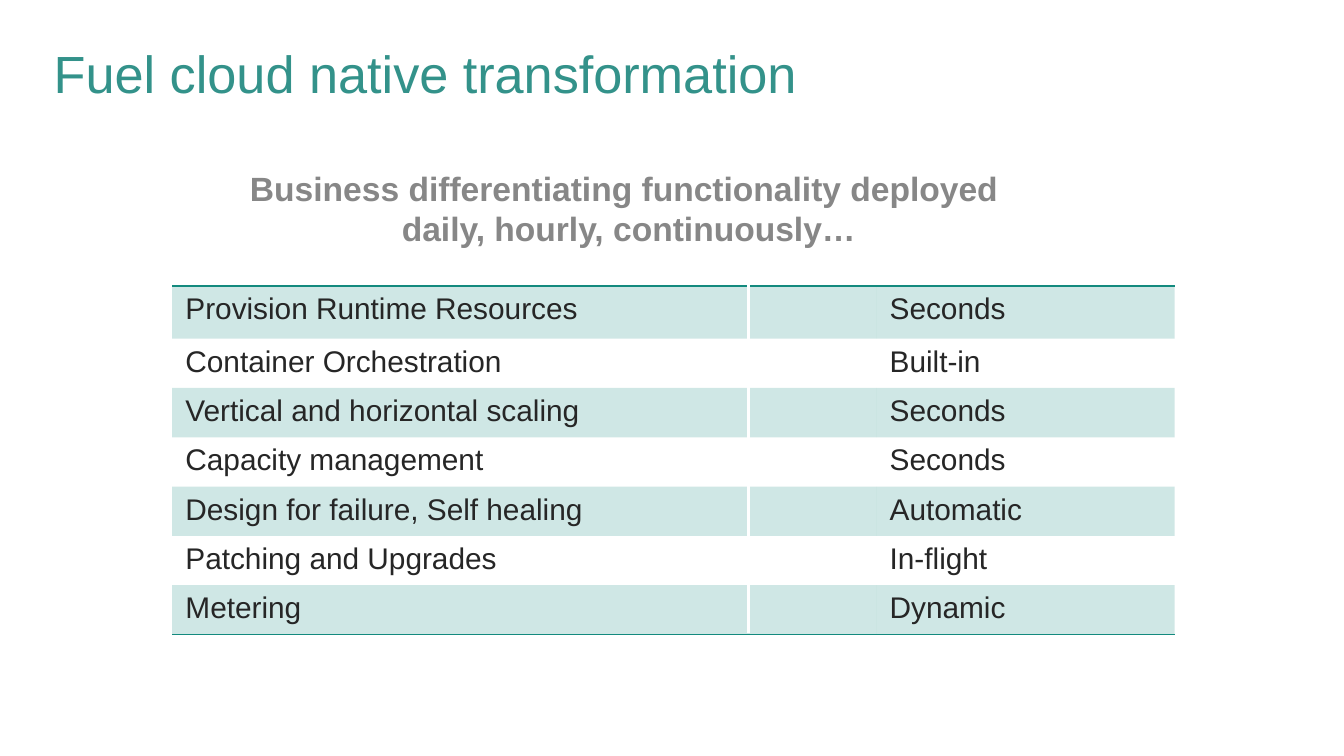
from dataclasses import dataclass

from lxml.etree import SubElement
from pptx import Presentation
from pptx.dml.color import RGBColor
from pptx.enum.shapes import MSO_CONNECTOR
from pptx.enum.text import MSO_ANCHOR, PP_ALIGN
from pptx.oxml.ns import qn
from pptx.util import Inches, Pt


@dataclass(frozen=True)
class Theme:
    font: str = "Arial"
    title: str = "33928A"
    subtitle: str = "878787"
    body: str = "262626"
    band: str = "138A7E"
    divider: str = "FFFFFF"
    band_alpha: int = 20
    title_size: int = 28
    subtitle_size: int = 18
    body_size: int = 16


class SlideBuilder:
    """Draws styled elements on one slide."""

    def __init__(self, slide, theme):
        self.slide = slide
        self.theme = theme

    def style(self, paragraph, size, color, bold=False):
        values = {"name": self.theme.font, "size": Pt(size), "bold": bold}
        for run in paragraph.runs:
            for key, value in values.items():
                setattr(run.font, key, value)
            run.font.color.rgb = RGBColor.from_string(color)

    def text(self, box, wording, size, color, bold=False, **layout):
        frame = self.slide.shapes.add_textbox(*map(Inches, box)).text_frame
        margins = {f"margin_{side}": 0 for side in ("left", "top", "right", "bottom")}
        for key, value in {**margins, "word_wrap": True, "vertical_anchor": MSO_ANCHOR.TOP}.items():
            setattr(frame, key, value)
        frame.text = wording
        paragraph = frame.paragraphs[0]
        for key, value in layout.items():
            setattr(paragraph, key, value)
        self.style(paragraph, size, color, bold)

    def borders(self, cell, ruled):
        properties = cell._tc.get_or_add_tcPr()
        for side in ("lnL", "lnR", "lnT", "lnB"):
            if side in ruled:
                edge = SubElement(properties, qn(f"a:{side}"), w=str(Pt(1)))
                fill = SubElement(edge, qn("a:solidFill"))
                SubElement(fill, qn("a:srgbClr"), val=self.theme.band)
            else:
                edge = SubElement(properties, qn(f"a:{side}"), w="0")
                SubElement(edge, qn("a:noFill"))

    def band(self, cell, shaded):
        if not shaded:
            cell.fill.background()
            return
        cell.fill.solid()
        cell.fill.fore_color.rgb = RGBColor.from_string(self.theme.band)
        color = cell._tc.tcPr.find(f"{qn('a:solidFill')}/{qn('a:srgbClr')}")
        SubElement(color, qn("a:alpha"), val=str(self.theme.band_alpha * 1000))

    def table(self, box, rows, widths, heights):
        table = self.slide.shapes.add_table(len(rows), len(widths), *map(Inches, box)).table
        for key in ("first_row", "horz_banding"):
            setattr(table, key, False)
        for column, width in zip(table.columns, widths):
            column.width = Inches(width)
        for row, height in zip(table.rows, heights):
            row.height = Inches(height)
        edges = {0: ("lnT",), len(rows) - 1: ("lnB",)}
        for index, row in enumerate(rows):
            for column, wording in enumerate(row):
                cell = table.cell(index, column)
                cell.text = wording
                self.style(cell.text_frame.paragraphs[0], self.theme.body_size, self.theme.body)
                self.borders(cell, edges.get(index, ()))
                self.band(cell, index % 2 == 0)

    def line(self, start, end, color, width):
        ends = map(Inches, (*start, *end))
        line = self.slide.shapes.add_connector(MSO_CONNECTOR.STRAIGHT, *ends)
        line.line.color.rgb = RGBColor.from_string(color)
        line.line.width = Pt(width)
        SubElement(line._element.spPr, qn("a:effectLst"))


CAPABILITIES = [
    ("Provision Runtime Resources", "Seconds"),
    ("Container Orchestration", "Built-in"),
    ("Vertical and horizontal scaling", "Seconds"),
    ("Capacity management", "Seconds"),
    ("Design for failure, Self healing", "Automatic"),
    ("Patching and Upgrades", "In-flight"),
    ("Metering", "Dynamic"),
]


def main():
    deck = Presentation()
    deck.slide_width, deck.slide_height = Inches(10), Inches(10 * 9 / 16)
    theme = Theme()
    builder = SlideBuilder(deck.slides.add_slide(deck.slide_layouts[6]), theme)
    builder.text((1.5, 1.25, 6.36, 0.38),
                 "Business differentiating functionality deployed \vdaily, hourly, continuously…",
                 theme.subtitle_size, theme.subtitle, bold=True, alignment=PP_ALIGN.CENTER)
    builder.text((0.4, 0.36, 9.2, 0.5), "Fuel cloud native transformation",
                 theme.title_size, theme.title, line_spacing=0.9)
    heights = [0.39] + [0.33] * (len(CAPABILITIES) - 1)
    builder.table((1.28, 2.13, 7.46, sum(heights)), CAPABILITIES, (5.24, 2.22), heights)
    builder.line((5.57, 1.86), (5.57, 4.71), theme.divider, 2)
    deck.save("out.pptx")


if __name__ == "__main__":
    main()
